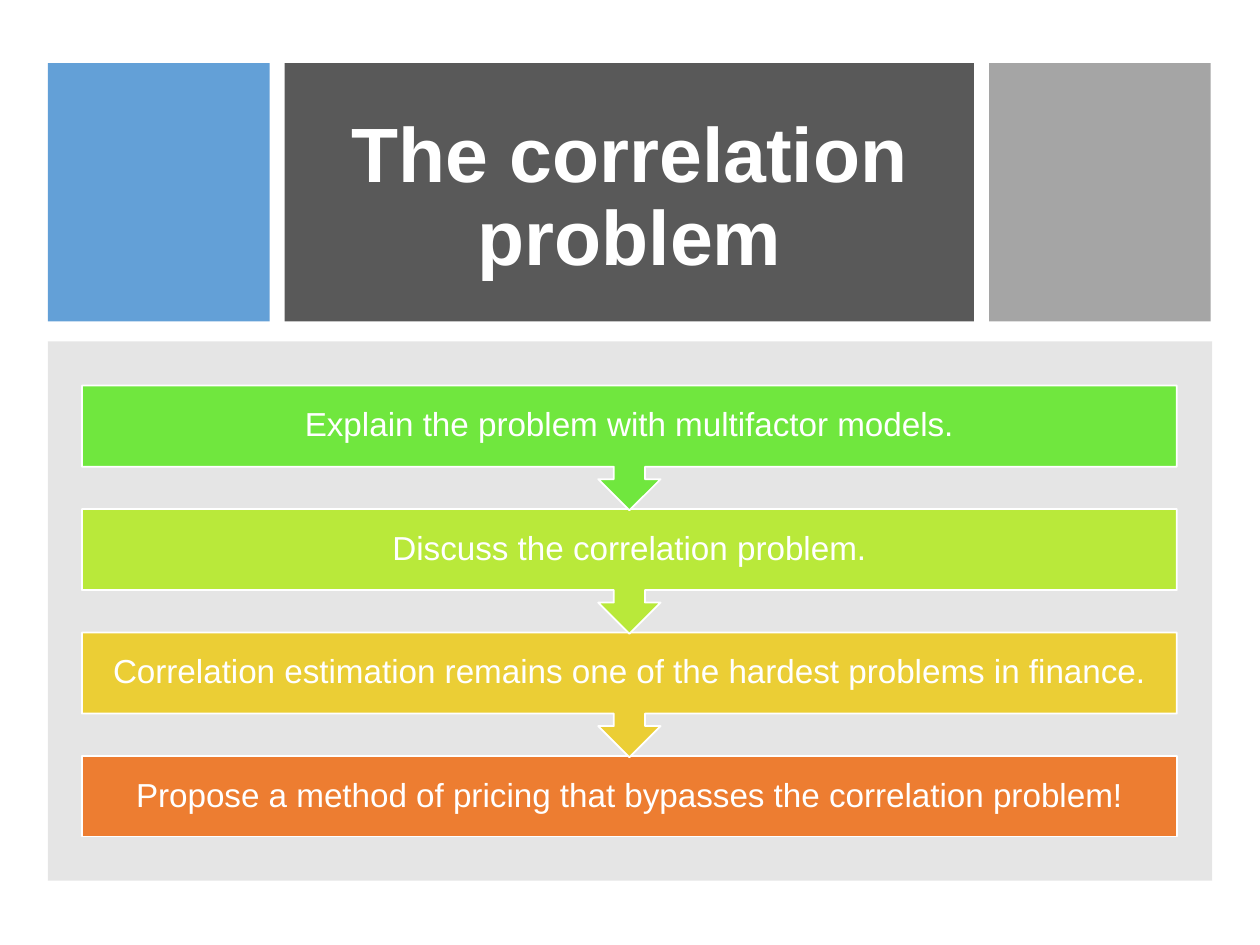
from lxml import etree
from pptx import Presentation
from pptx.dml.color import RGBColor
from pptx.enum import shapes, text
from pptx.oxml.ns import qn
from pptx.util import Inches, Pt

TITLE = "The correlation problem"
PANELS = [
    ((0.38, 0.5, 1.76, 2.05), "5B9BD5", 95),
    ((2.26, 0.5, 5.47, 2.05), "595959", 100),
    ((7.85, 0.5, 1.76, 2.05), "A5A5A5", 100),
    ((0.38, 2.71, 9.24, 4.28), "808080", 20),
]
STEPS = [
    ("Explain the problem with multifactor models.", "70E73E"),
    ("Discuss the correlation problem.", "B9E93A"),
    ("Correlation estimation remains one of the hardest problems in finance.", "EBCE35"),
    ("Propose a method of pricing that bypasses the correlation problem!", "ED7D31"),
]
LEFT, TOP, WIDTH, BAR, CALL, PITCH = 0.65, 3.06, 8.69, 0.64, 0.99, 0.98
KIND = shapes.MSO_SHAPE


def tint(color, code):
    color.rgb = RGBColor.from_string(code)


def draw(slide, kind, box, code, alpha=100, edge=None):
    shape = slide.shapes.add_shape(kind, *map(Inches, box))
    shape.shadow.inherit = False
    shape.fill.solid()
    tint(shape.fill.fore_color, code)
    if alpha < 100:
        fill = shape.fill._xPr.find(qn("a:solidFill"))
        etree.SubElement(fill[0], qn("a:alpha"), val=str(alpha * 1000))
    if edge:
        tint(shape.line.color, edge)
        shape.line.width = Pt(1)
    else:
        shape.line.fill.background()
    return shape


def write(shape, words, size, bold=False):
    frame = shape.text_frame
    frame.word_wrap = True
    frame.vertical_anchor = text.MSO_ANCHOR.MIDDLE
    frame.text = words
    para = frame.paragraphs[0]
    para.alignment = text.PP_ALIGN.CENTER
    para.line_spacing = 0.9
    para.font.name = "Arial"
    para.font.size = Pt(size)
    para.font.bold = bold
    tint(para.font.color, "FFFFFF")
    return frame


def main():
    """Build the correlation problem slide."""
    deck = Presentation()
    deck.slide_width, deck.slide_height = Inches(10), Inches(7.5)
    slide = deck.slides.add_slide(deck.slide_layouts[5])

    for box, code, alpha in PANELS:
        draw(slide, KIND.RECTANGLE, box, code, alpha)

    title = slide.shapes.title
    title.left, title.top, title.width, title.height = map(Inches, (2.5, 0.8, 5, 1.56))
    write(title, TITLE, 44, True)
    slide.shapes._spTree.append(title._element)

    last = len(STEPS) - 1
    for i, (words, code) in reversed(list(enumerate(STEPS))):
        top = TOP + i * PITCH
        bar = (LEFT, top, WIDTH, BAR)
        if i == last:
            draw(slide, KIND.RECTANGLE, bar, code, edge="FFFFFF")
        else:
            call = (LEFT, top, WIDTH, CALL)
            draw(slide, KIND.UP_ARROW_CALLOUT, call, code, edge="FFFFFF").rotation = 180
        label = slide.shapes.add_textbox(*map(Inches, bar))
        frame = write(label, words, 19)
        frame.margin_left = frame.margin_right = Inches(0.15)
        frame.margin_top = frame.margin_bottom = Inches(0.15)

    deck.save("out.pptx")


if __name__ == "__main__":
    main()
